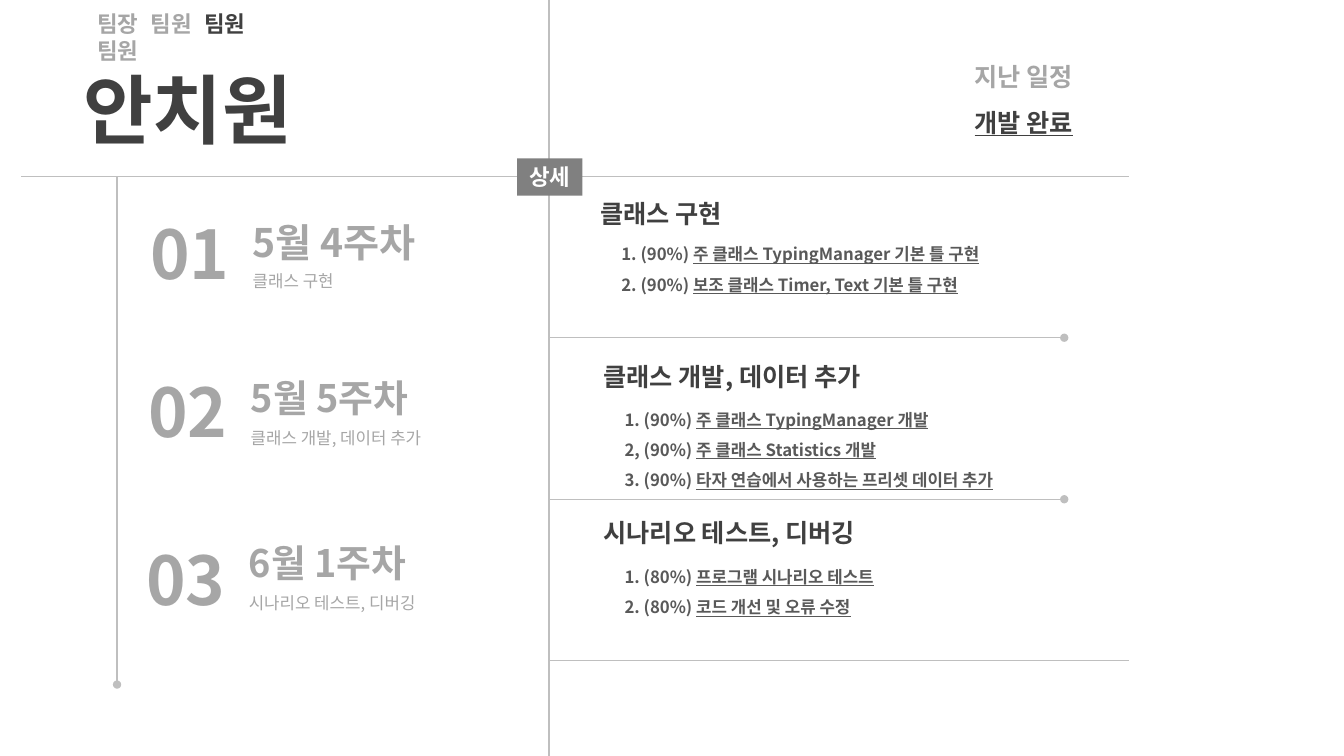
from lxml.etree import SubElement
from pptx import Presentation
from pptx.dml.color import RGBColor
from pptx.enum.shapes import MSO_CONNECTOR, MSO_SHAPE
from pptx.enum.text import MSO_ANCHOR, MSO_AUTO_SIZE, PP_ALIGN
from pptx.oxml.ns import qn
from pptx.util import Cm, Pt

WHITE = RGBColor(0xFF, 0xFF, 0xFF)
SILVER = RGBColor(0xBF, 0xBF, 0xBF)
MUTED = RGBColor(0xA6, 0xA6, 0xA6)
BADGE = RGBColor(0x80, 0x80, 0x80)
BODY = RGBColor(0x59, 0x59, 0x59)
DARK = RGBColor(0x40, 0x40, 0x40)

NORMAL_INSET = 0.25
WIDE_INSET = 0.3

WEEKS = [
    ("01", "5월 4주차", 28, "클래스 구현", 6.12, (5.23, 5.36, 6.68)),
    ("02", "5월 5주차", 27, "클래스 개발, 데이터 추가", 6.07, (9.19, 9.32, 10.64)),
    ("03", "6월 1주차", 27, "시나리오 테스트, 디버깅", 6.02, (13.44, 13.46, 14.81)),
]

DETAILS = [
    ("클래스 구현", 14.83, 4.88, 5.77, [
        ("1. (90%) ", "주 클래스 TypingManager 기본 틀 구현"),
        ("2. (90%) ", "보조 클래스 Timer, Text 기본 틀 구현"),
    ]),
    ("클래스 개발, 데이터 추가", 14.91, 8.97, 9.93, [
        ("1. (90%) ", "주 클래스 TypingManager 개발"),
        ("2, (90%) ", "주 클래스 Statistics 개발"),
        ("3. (90%) ", "타자 연습에서 사용하는 프리셋 데이터 추가"),
    ]),
    ("시나리오 테스트, 디버깅", 14.91, 12.9, 13.89, [
        ("1. (80%) ", "프로그램 시나리오 테스트"),
        ("2. (80%) ", "코드 개선 및 오류 수정"),
    ]),
]


class ScheduleSlide:
    """Holds the style and the current slide of a member's schedule."""

    font_name = "Noto Sans CJK KR"
    line_width = Pt(1)

    def __init__(self, presentation):
        self.slide = presentation.slides.add_slide(presentation.slide_layouts[5])

    def fill_text(self, shape, lines, size, inset=NORMAL_INSET, font_name=font_name,
                  bold=True, anchor=MSO_ANCHOR.TOP,
                  auto_size=MSO_AUTO_SIZE.SHAPE_TO_FIT_TEXT,
                  align=PP_ALIGN.LEFT, spacing=1.0, tabs=()):
        """Fills a shape with lines made of (text, color, underline) runs."""
        frame = shape.text_frame
        frame_format = {
            "word_wrap": True, "auto_size": auto_size, "vertical_anchor": anchor,
            "margin_left": Cm(inset), "margin_right": Cm(inset),
            "margin_top": Cm(0.13), "margin_bottom": Cm(0.13),
        }
        for name, value in frame_format.items():
            setattr(frame, name, value)
        for index, line in enumerate(lines):
            paragraph = frame.add_paragraph() if index else frame.paragraphs[0]
            paragraph.alignment = align
            paragraph.line_spacing = spacing
            if tabs:
                tab_list = SubElement(paragraph._p.get_or_add_pPr(), qn("a:tabLst"))
                for position in tabs:
                    SubElement(tab_list, qn("a:tab"), pos=str(Cm(position)), algn="l")
            for text, color, underline in line:
                run = paragraph.add_run()
                run.text = text
                run_format = {"name": font_name, "size": Pt(size),
                              "bold": bold, "underline": underline}
                for name, value in run_format.items():
                    setattr(run.font, name, value)
                run.font.color.rgb = color
                SubElement(run._r.get_or_add_rPr(), qn("a:ea"), typeface=font_name)

    def title(self, text, left, top, width, height):
        """Moves and formats the title placeholder."""
        shape = self.slide.shapes.title
        box = {"left": left, "top": top, "width": width, "height": height}
        for name, value in box.items():
            setattr(shape, name, Cm(value))
        self.fill_text(shape, [[(text, DARK, False)]], 54, anchor=MSO_ANCHOR.MIDDLE,
                       auto_size=MSO_AUTO_SIZE.NONE)

    def text(self, lines, left, top, width, height, size, shapes=None, **style):
        """Adds a text box to the slide or to a group's shapes."""
        if shapes is None:
            shapes = self.slide.shapes
        shape = shapes.add_textbox(Cm(left), Cm(top), Cm(width), Cm(height))
        self.fill_text(shape, lines, size, **style)

    def line(self, left, top, right, bottom, dot=False):
        """Adds a thin rule, with a dot at its end if asked."""
        connector = self.slide.shapes.add_connector(
            MSO_CONNECTOR.STRAIGHT, Cm(left), Cm(top), Cm(right), Cm(bottom))
        connector.line.width = self.line_width
        connector.line.color.rgb = SILVER
        properties = connector._element.spPr
        if dot:
            SubElement(properties.find(qn("a:ln")), qn("a:tailEnd"), type="oval")
        SubElement(properties, qn("a:effectLst"))

    def badge(self, text, left, top, width, height):
        """Adds a filled label."""
        shape = self.slide.shapes.add_shape(
            MSO_SHAPE.RECTANGLE, Cm(left), Cm(top), Cm(width), Cm(height))
        shape.shadow.inherit = False
        shape.fill.solid()
        shape.fill.fore_color.rgb = BADGE
        shape.line.fill.background()
        self.fill_text(shape, [[(text, WHITE, False)]], 16, font_name="Arial",
                       anchor=MSO_ANCHOR.MIDDLE, auto_size=MSO_AUTO_SIZE.NONE,
                       align=PP_ALIGN.CENTER)

    def week(self, number, week, week_size, summary, left, tops):
        """Adds a grouped week entry: number, week and summary."""
        shapes = self.slide.shapes.add_group_shape().shapes
        number_top, week_top, summary_top = tops
        self.text([[(summary, MUTED, False)]], left, summary_top, 12.52, 0.76, 12,
                  shapes, bold=False)
        self.text([[(week, MUTED, False)]], left - 0.05, week_top, 12.52, 1.44,
                  week_size, shapes, inset=WIDE_INSET)
        self.text([[(number, MUTED, False)]], left - 2.67, number_top, 2.67, 2.31, 48,
                  shapes, inset=WIDE_INSET, align=PP_ALIGN.CENTER)

    def detail(self, heading, left, heading_top, tasks_top, tasks):
        """Adds a heading with its list of tasks."""
        lines = [[(progress, BODY, False), (task, BODY, True)] for progress, task in tasks]
        self.text(lines, left + 0.58, tasks_top, 14.7, 0.82 * len(tasks), 12, spacing=1.5)
        self.text([[(heading, DARK, False)]], left, heading_top, 12.52, 1.02, 18,
                  inset=WIDE_INSET)


def main():
    """Builds the schedule slide and saves it."""
    presentation = Presentation()
    presentation.slide_width = Cm(33.87)
    presentation.slide_height = Cm(19.05)
    schedule = ScheduleSlide(presentation)

    schedule.line(0.53, 4.45, 28.45, 4.45)
    schedule.title("안치원", 1.85, 1.45, 7.34, 2.57)
    for week in WEEKS:
        schedule.week(*week)

    schedule.line(13.84, 0, 13.84, 19.05)
    schedule.line(2.95, 4.45, 2.95, 17.25, dot=True)
    schedule.badge("상세", 13.03, 3.99, 1.65, 0.94)

    for index, (right, dot) in enumerate([(26.82, True), (26.82, True), (28.45, False)]):
        divider_top = 8.51 + 4.07 * index
        schedule.line(13.87, divider_top, right, divider_top, dot)
    for detail in DETAILS:
        schedule.detail(*detail)

    schedule.text([[("지난 일정", MUTED, False)], [("개발 완료", DARK, True)]],
                  24.26, 1.04, 3.58, 2.41, 18, inset=WIDE_INSET, spacing=1.5)
    roles = [("팀장\t팀원\t", MUTED, False), ("팀원\t", DARK, False), ("팀원", MUTED, False)]
    schedule.text([roles], 1.68, 0.46, 6.6, 0.94, 16, inset=0.77,
                  anchor=MSO_ANCHOR.MIDDLE, tabs=[1.35 * step for step in (1, 2, 3)])

    presentation.save("out.pptx")


if __name__ == "__main__":
    main()
